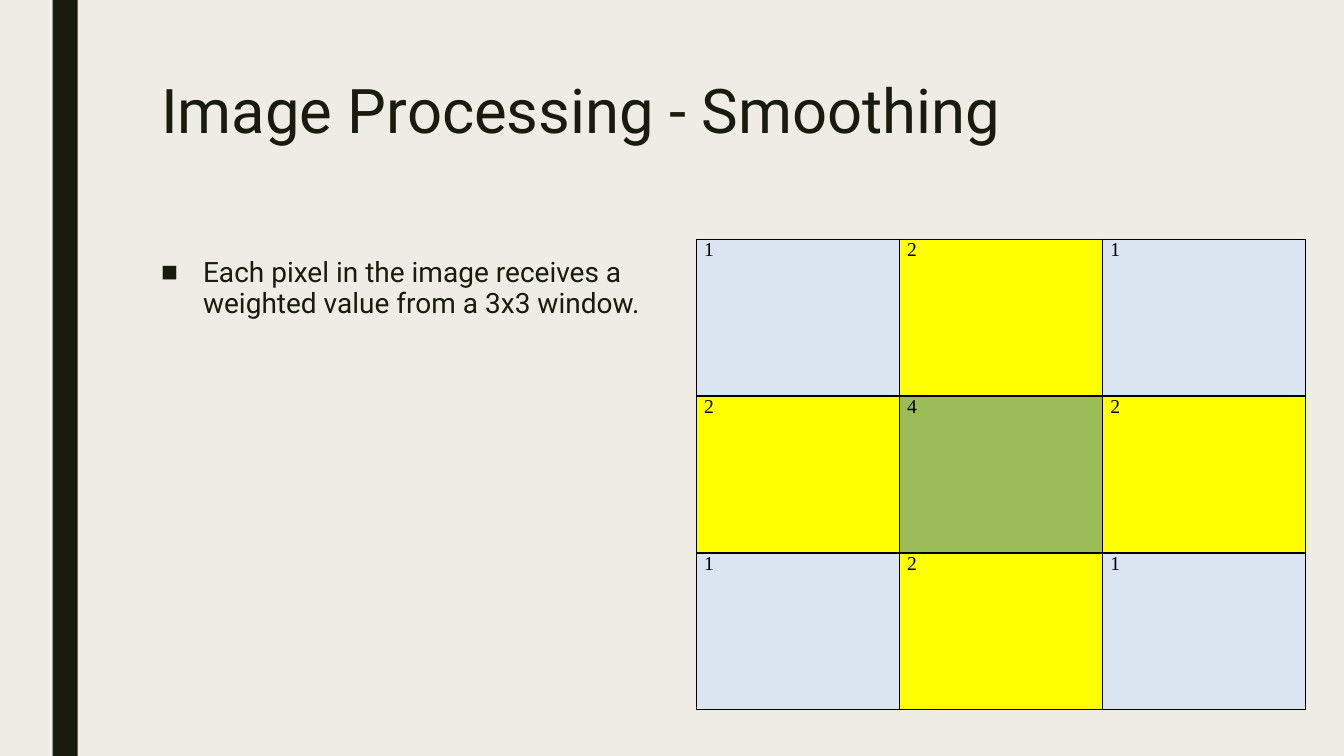
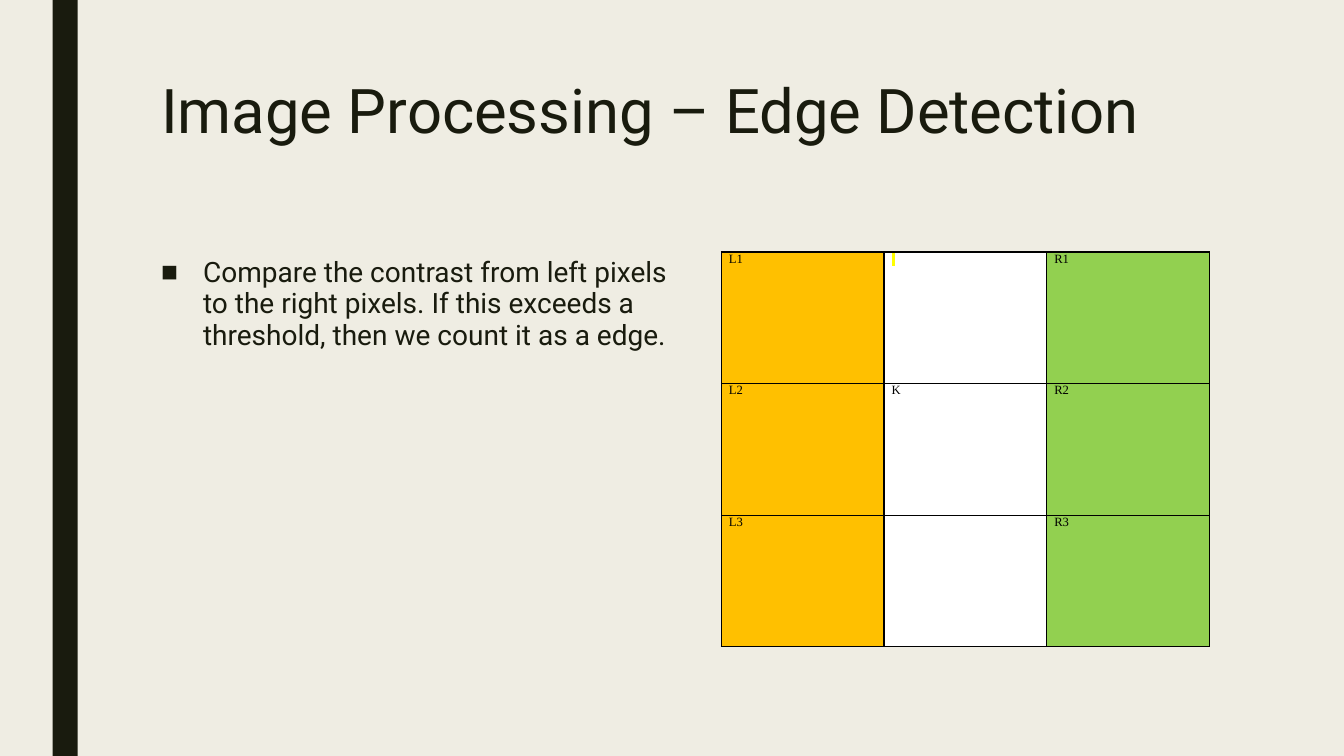
from pptx import Presentation
from pptx.dml.color import RGBColor
from pptx.enum.shapes import MSO_SHAPE
from pptx.enum.text import MSO_ANCHOR, MSO_AUTO_SIZE, PP_ALIGN
from pptx.oxml.ns import qn
from pptx.util import Pt
from lxml.etree import SubElement

COLORS = {
    "background": "EFEDE3",
    "ink": "191B0E",
    "black": "000000",
    "white": "FFFFFF",
    "pale blue": "DBE5F1",
    "yellow": "FFFF00",
    "green": "9BBB59",
    "orange": "FFC000",
    "lime": "92D050",
}
SLIDE_SIZE = (960, 540)
BAR_BOX = (37.5, 0, 18, 540)
TITLE_BOX = (108, 54, 756, 117)
BODY_LEFT, BODY_TOP, BODY_HEIGHT = 108, 180, 282
BULLET_INDENT = 30

TITLE_FONT = {"name": "Roboto", "size": Pt(44), "color": "ink"}
BODY_FONT = {"name": "Roboto", "size": Pt(20), "color": "ink"}
TITLE_PARAGRAPH = {"alignment": PP_ALIGN.LEFT, "line_spacing": 0.89}
BODY_PARAGRAPH = {
    "alignment": PP_ALIGN.LEFT,
    "line_spacing": 0.94,
    "space_before": Pt(10),
    "space_after": Pt(2),
}
FRAME_FORMAT = {
    "word_wrap": True,
    "auto_size": MSO_AUTO_SIZE.NONE,
    "vertical_anchor": MSO_ANCHOR.TOP,
}
CELL_MARGINS = {
    "margin_left": Pt(5.4),
    "margin_right": Pt(5.4),
    "margin_top": 0,
    "margin_bottom": 0,
}

SLIDES = [
    {
        "title": "Image Processing - Smoothing",
        "body": "Each pixel in the image receives a weighted value from a 3x3 window.",
        "body_width": 379.5,
        "grid": {
            "origin": (497.5, 170.8),
            "cell_size": (145.1, 112.1),
            "font_size": 14,
            "space_after": 6,
            "values": ["121", "242", "121"],
            "fills": [
                ("pale blue", "yellow", "pale blue"),
                ("yellow", "green", "yellow"),
                ("pale blue", "yellow", "pale blue"),
            ],
        },
    },
    {
        "title": "Image Processing – Edge Detection",
        "body": "Compare the contrast from left pixels to the right pixels. "
                "If this exceeds a threshold, then we count it as a edge.",
        "body_width": 384.5,
        "grid": {
            "origin": (515.3, 180),
            "cell_size": (116.2, 94),
            "font_size": 9,
            "space_after": 4,
            "values": [("L1", " ", "R1"), ("L2", "K", "R2"), ("L3", "", "R3")],
            "fills": [("orange", "white", "lime")] * 3,
            "highlights": {(0, 1): "yellow"},
        },
    },
]


def rgb(color):
    return RGBColor.from_string(COLORS[color])


def points(lengths):
    return [Pt(length) for length in lengths]


def set_attributes(target, values):
    for name, value in values.items():
        setattr(target, name, value)


def write(paragraph, text, font, paragraph_format):
    set_attributes(paragraph, paragraph_format)
    run = paragraph.add_run()
    run.text = text
    run.font.color.rgb = rgb(font["color"])
    set_attributes(run.font, {"name": font["name"], "size": font["size"]})
    return run


def add_solid_fill(parent, color):
    fill = SubElement(parent, qn("a:solidFill"))
    SubElement(fill, qn("a:srgbClr"), val=COLORS[color])


def add_bullet(paragraph):
    properties = paragraph._p.get_or_add_pPr()
    properties.set("marL", str(Pt(BULLET_INDENT)))
    properties.set("indent", str(-Pt(BULLET_INDENT)))
    SubElement(properties, qn("a:buFont"), typeface="Arial")
    SubElement(properties, qn("a:buChar"), char="■")


def highlight(run, color):
    properties = run._r.get_or_add_rPr()
    mark = SubElement(properties, qn("a:highlight"))
    SubElement(mark, qn("a:srgbClr"), val=COLORS[color])
    properties.find(qn("a:latin")).addprevious(mark)


def add_borders(cell):
    """Outline a cell; the lines must come before its fill in the XML."""
    properties = cell._tc.get_or_add_tcPr()
    for position, side in enumerate(("a:lnL", "a:lnR", "a:lnT", "a:lnB")):
        line = SubElement(properties, qn(side), w=str(Pt(1)))
        add_solid_fill(line, "black")
        properties.insert(position, line)


def add_bar(slide):
    bar = slide.shapes.add_shape(MSO_SHAPE.RECTANGLE, *points(BAR_BOX))
    bar.shadow.inherit = False
    bar.fill.solid()
    bar.fill.fore_color.rgb = rgb("ink")
    bar.line.fill.background()


def add_title(slide, text):
    title = slide.shapes.title
    title.left, title.top, title.width, title.height = points(TITLE_BOX)
    set_attributes(title.text_frame, FRAME_FORMAT)
    write(title.text_frame.paragraphs[0], text, TITLE_FONT, TITLE_PARAGRAPH)


def add_body(slide, text, width):
    box = slide.shapes.add_textbox(*points((BODY_LEFT, BODY_TOP, width, BODY_HEIGHT)))
    set_attributes(box.text_frame, FRAME_FORMAT)
    paragraph = box.text_frame.paragraphs[0]
    write(paragraph, text, BODY_FONT, BODY_PARAGRAPH)
    add_bullet(paragraph)


def add_pixel_grid(slide, grid):
    values = grid["values"]
    row_count, column_count = len(values), len(values[0])
    cell_width, cell_height = grid["cell_size"]
    size = (cell_width * column_count, cell_height * row_count)
    table = slide.shapes.add_table(
        row_count, column_count, *points(grid["origin"] + size)
    ).table
    set_attributes(table, {"first_row": False, "horz_banding": False})
    for column in table.columns:
        column.width = Pt(cell_width)
    for row in table.rows:
        row.height = Pt(cell_height)

    font = {"name": "Times New Roman", "size": Pt(grid["font_size"]), "color": "black"}
    paragraph_format = {
        "alignment": PP_ALIGN.JUSTIFY,
        "space_after": Pt(grid["space_after"]),
    }
    highlights = grid.get("highlights", {})
    for row, (texts, fills) in enumerate(zip(values, grid["fills"])):
        for column, (text, fill) in enumerate(zip(texts, fills)):
            cell = table.cell(row, column)
            set_attributes(cell, CELL_MARGINS)
            cell.fill.solid()
            cell.fill.fore_color.rgb = rgb(fill)
            add_borders(cell)
            if text:
                paragraph = cell.text_frame.paragraphs[0]
                run = write(paragraph, text, font, paragraph_format)
                if (row, column) in highlights:
                    highlight(run, highlights[row, column])


def main():
    presentation = Presentation()
    presentation.slide_width, presentation.slide_height = points(SLIDE_SIZE)
    background = presentation.slide_master.background.fill
    background.solid()
    background.fore_color.rgb = rgb("background")
    title_only = presentation.slide_layouts.get_by_name("Title Only")

    for content in SLIDES:
        slide = presentation.slides.add_slide(title_only)
        add_bar(slide)
        add_title(slide, content["title"])
        add_body(slide, content["body"], content["body_width"])
        add_pixel_grid(slide, content["grid"])

    presentation.save("out.pptx")


if __name__ == "__main__":
    main()
